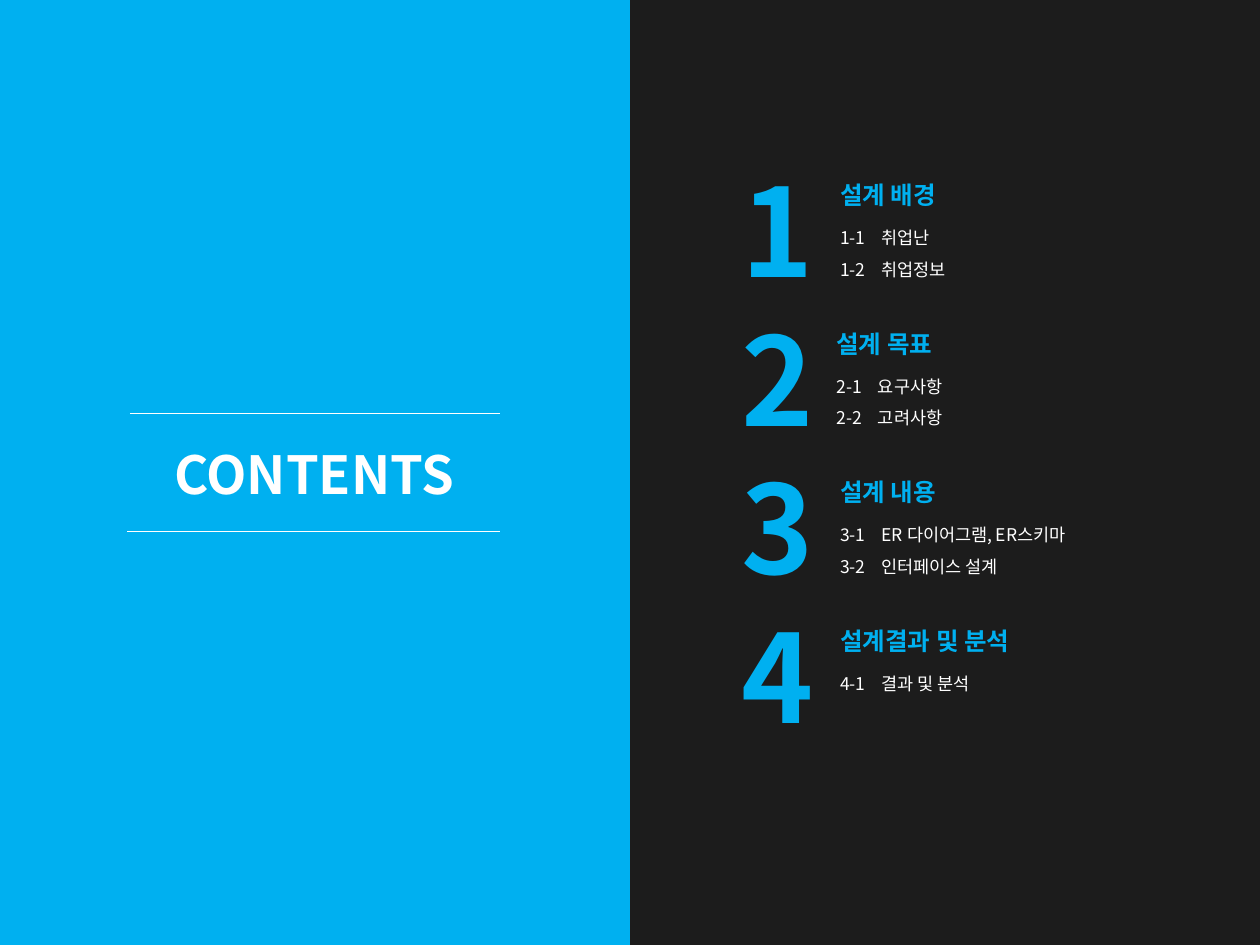
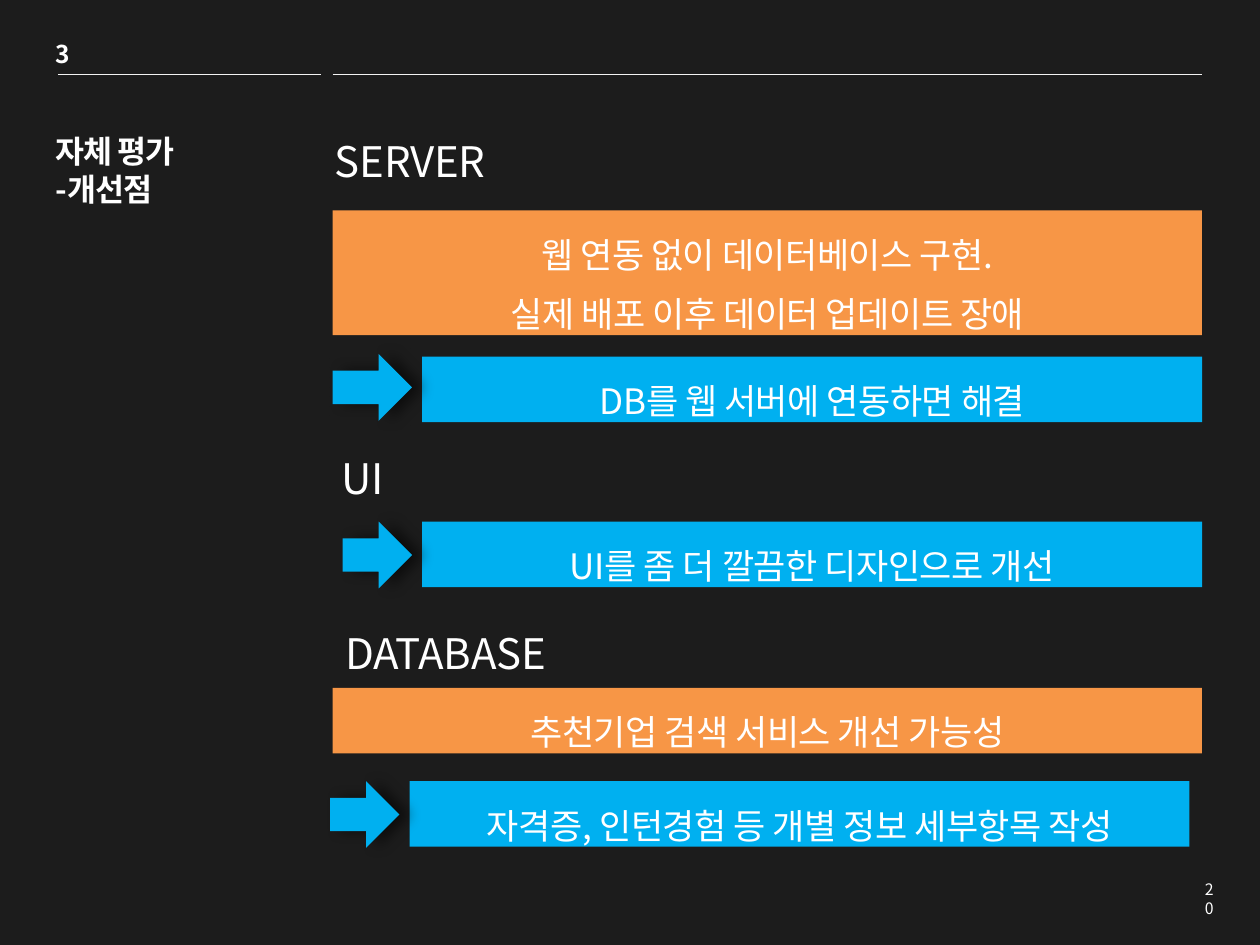
from typing import NamedTuple

from lxml.etree import SubElement
from pptx import Presentation
from pptx.dml.color import RGBColor
from pptx.enum.shapes import MSO_CONNECTOR, MSO_SHAPE
from pptx.enum.text import MSO_ANCHOR, MSO_AUTO_SIZE, PP_ALIGN
from pptx.oxml.ns import qn
from pptx.util import Inches, Pt

FONT = "Noto Sans CJK KR"
HUES = {
    "dark": "1C1C1C",
    "blue": "00B0F0",
    "orange": "F79646",
    "white": "FFFFFF",
    "pale": "F2F2F2",
}


class Box(NamedTuple):
    left: float
    top: float
    width: float
    height: float


class Part(NamedTuple):
    head: str
    items: str
    left: float = 6.57


class Rule(NamedTuple):
    left: float
    right: float
    top: float


class Label(NamedTuple):
    text: str
    left: float
    top: float


class Bar(NamedTuple):
    text: str
    box: Box
    hue: str


PARTS = [
    Part("설계 배경", "1-1\t취업난\n1-2\t취업정보"),
    Part("설계 목표", "2-1\t요구사항\n2-2\t고려사항", 6.54),
    Part("설계 내용", "3-1\tER 다이어그램, ER스키마\n3-2\t인터페이스 설계"),
    Part("설계결과 및 분석", "4-1\t결과 및 분석"),
]
PART_TOP, PART_STEP = 1.18, 1.18

LABELS = [
    Label("SERVER", 2.56, 1.03),
    Label("UI", 2.61, 3.54),
    Label("DATABASE", 2.64, 4.93),
]
BARS = [
    Bar("웹 연동 없이 데이터베이스 구현.\n실제 배포 이후 데이터 업데이트 장애",
        Box(2.64, 1.67, 6.9, 0.99), "orange"),
    Bar("DB를 웹 서버에 연동하면 해결", Box(3.35, 2.83, 6.19, 0.52), "blue"),
    Bar("UI를 좀 더 깔끔한 디자인으로 개선", Box(3.35, 4.14, 6.19, 0.52), "blue"),
    Bar("추천기업 검색 서비스 개선 가능성", Box(2.64, 5.46, 6.9, 0.52), "orange"),
    Bar("자격증, 인턴경험 등 개별 정보 세부항목 작성",
        Box(3.25, 6.2, 6.19, 0.52), "blue"),
]
ARROWS = [
    Box(2.64, 2.81, 0.63, 0.53),
    Box(2.72, 4.14, 0.55, 0.53),
    Box(2.62, 6.2, 0.55, 0.53),
]


def tint(name: str) -> RGBColor:
    return RGBColor.from_string(HUES[name])


def write(shape, text: str, *, size: float, hue: str = "white",
          bold: bool = False, align=PP_ALIGN.LEFT, space: float = 1,
          track: float = 0, tab: float = 0, wrap: bool = True,
          anchor=MSO_ANCHOR.TOP) -> None:
    frame = shape.text_frame
    frame.text = text
    frame.word_wrap = wrap
    frame.auto_size = MSO_AUTO_SIZE.NONE
    frame.vertical_anchor = anchor
    for line in frame.paragraphs:
        if tab:
            stops = SubElement(line._p.get_or_add_pPr(), qn("a:tabLst"))
            SubElement(stops, qn("a:tab"), pos=str(Inches(tab)), algn="l")
        line.alignment = align
        line.line_spacing = space
        for run in line.runs:
            font = run.font
            font.size, font.bold, font.name = Pt(size), bold, FONT
            font.color.rgb = tint(hue)
            props = run._r.get_or_add_rPr()
            SubElement(props, qn("a:ea"), typeface=FONT)
            if track:
                props.set("spc", str(round(track * 100)))


def place(shape, box: Box) -> None:
    shape.left, shape.top, shape.width, shape.height = map(Inches, box)


def note(shapes, text: str, box: Box, **style) -> None:
    write(shapes.add_textbox(*map(Inches, box)), text, **style)


def block(shapes, kind, box: Box, hue: str):
    shape = shapes.add_shape(kind, *map(Inches, box))
    shape.shadow.inherit = False
    shape.fill.solid()
    shape.fill.fore_color.rgb = tint(hue)
    shape.line.fill.background()
    return shape


def arrow(shapes, box: Box) -> None:
    shape = block(shapes, MSO_SHAPE.RIGHT_ARROW, box, "blue")
    glow = SubElement(shape.element.spPr.find(qn("a:effectLst")),
                      qn("a:outerShdw"), blurRad=str(Pt(8)),
                      dist=str(Pt(6)), dir="0", algn="ctr", rotWithShape="0")
    color = SubElement(glow, qn("a:srgbClr"), val="000000")
    SubElement(color, qn("a:alpha"), val="55000")


def draw(shapes, rule: Rule, hue: str, width: float) -> None:
    line = shapes.add_connector(
        MSO_CONNECTOR.STRAIGHT, Inches(rule.left), Inches(rule.top),
        Inches(rule.right), Inches(rule.top))
    line.line.color.rgb = tint(hue)
    line.line.width = Pt(width)
    SubElement(line.element.spPr, qn("a:effectLst"))


def index(slide) -> None:
    shapes = slide.shapes
    title = shapes.title
    panel = block(shapes, MSO_SHAPE.FLOWCHART_PROCESS, Box(0, 0, 5, 7.5), "blue")
    title.element.addprevious(panel.element)
    place(title, Box(1.03, 2.95, 2.93, 1.61))
    write(title, "CONTENTS", size=30, bold=True, align=PP_ALIGN.CENTER,
          anchor=MSO_ANCHOR.MIDDLE)
    for rule in (Rule(1.03, 3.97, 3.28), Rule(1.01, 3.97, 4.22)):
        draw(shapes, rule, "white", 0.75)
    for count, part in enumerate(PARTS):
        top = PART_TOP + count * PART_STEP
        group = shapes.add_group_shape().shapes
        lines = part.items.count("\n") + 1
        note(group, part.items,
             Box(part.left, top + 0.49, 2.6, 0.12 + 0.23 * lines),
             size=10, space=1.5, tab=0.33)
        note(group, part.head, Box(part.left, top + 0.2, 2.83, 0.34),
             size=14, hue="blue", bold=True)
        note(group, str(count + 1), Box(5.79, top, 0.79, 1.28),
             size=70, hue="blue", bold=True, wrap=False)


def review(slide) -> None:
    shapes = slide.shapes
    place(shapes.title, Box(0.34, 1, 1.81, 1.61))
    write(shapes.title, "자체 평가\n-개선점", size=18, bold=True, track=-0.5)
    note(shapes, "3", Box(0.34, 0.26, 0.31, 0.34), size=14, bold=True,
         track=-0.5, wrap=False)
    for rule in (Rule(0.46, 2.55, 0.59), Rule(2.64, 9.54, 0.59)):
        draw(shapes, rule, "pale", 0.25)
    for label in LABELS:
        note(shapes, label.text, Box(label.left, label.top, 5.32, 0.5),
             size=24, track=-0.2)
    for bar in BARS:
        shape = block(shapes, MSO_SHAPE.RECTANGLE, bar.box, bar.hue)
        write(shape, bar.text, size=20, align=PP_ALIGN.CENTER, space=1.4,
              track=-0.3)
    for box in ARROWS:
        arrow(shapes, box)
    note(shapes, "20", Box(9.45, 6.93, 0.28, 0.25), size=9,
         align=PP_ALIGN.RIGHT)


def main() -> None:
    deck = Presentation()
    deck.slide_width, deck.slide_height = Inches(10), Inches(7.5)
    back = deck.slide_master.background.fill
    back.solid()
    back.fore_color.rgb = tint("dark")
    for build in (index, review):
        build(deck.slides.add_slide(deck.slide_layouts[5]))
    deck.save("out.pptx")


if __name__ == "__main__":
    main()
